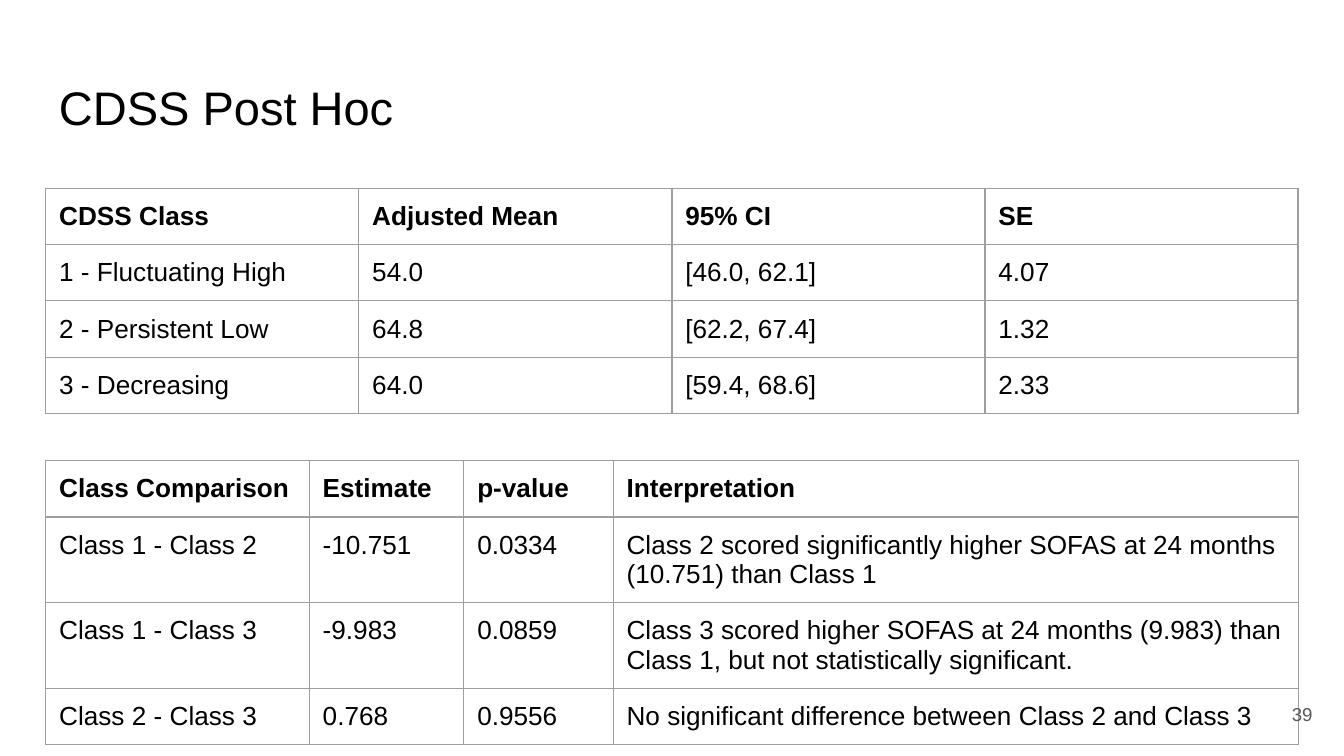
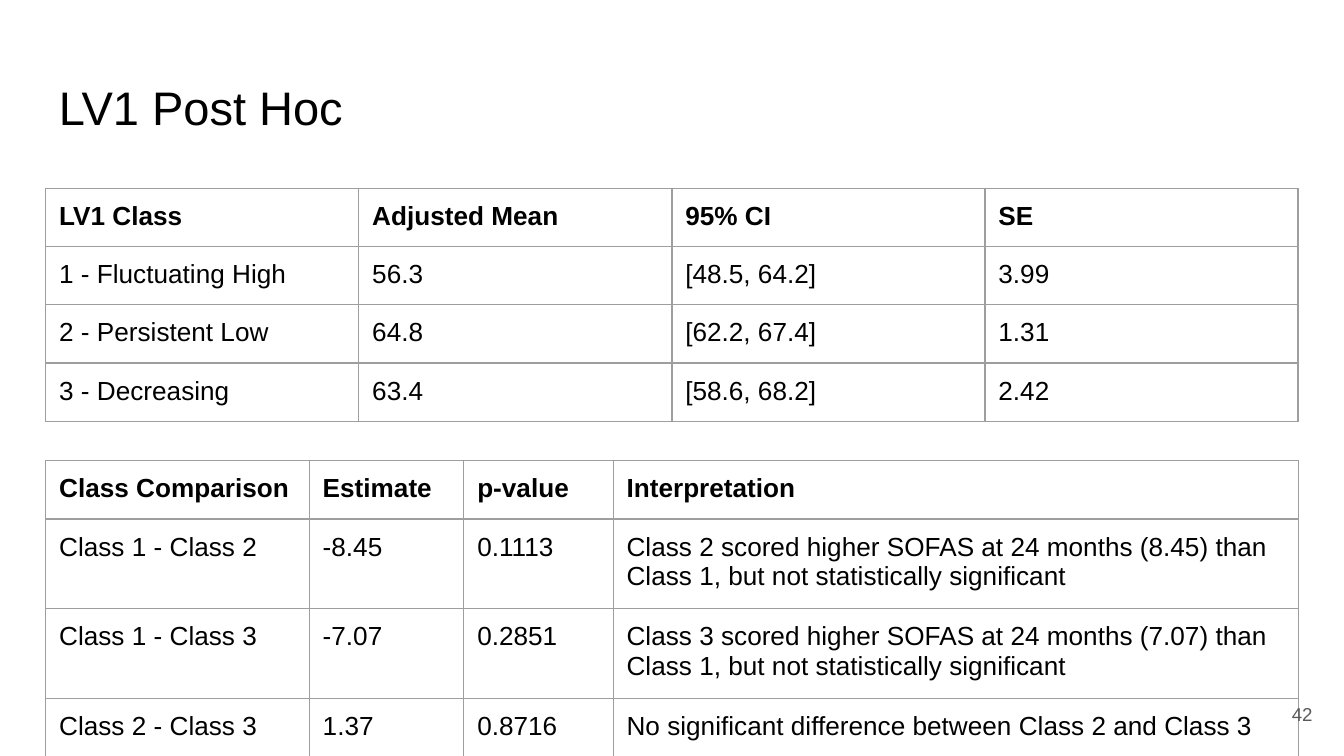
from lxml import etree
from pptx import Presentation
from pptx.dml.color import RGBColor
from pptx.enum.text import MSO_ANCHOR, PP_ALIGN
from pptx.oxml.ns import qn
from pptx.util import Pt

TOP = MSO_ANCHOR.TOP
MIDDLE = MSO_ANCHOR.MIDDLE
LEFT = PP_ALIGN.LEFT
RIGHT = PP_ALIGN.RIGHT

COLORS = {"background": "FFFFFF", "text": "000000", "number": "595959", "border": "9E9E9E"}
FONT = "Arial"
INSET = 7.2
MARGIN = 24.5
CONTENT_WIDTH = 671
ROW_HEIGHT = 30.2
BORDER_WIDTH = 0.75
MEANS_TOP = 100.8
COMPARISON_TOP = 246.8
MEANS_COLUMNS = [CONTENT_WIDTH / 4] * 4
COMPARISON_COLUMNS = [141.2, 82.8, 80, 367]

MEANS_HEADINGS = ["Adjusted Mean", "95% CI", "SE"]
CLASSES = ["1 - Fluctuating High", "2 - Persistent Low", "3 - Decreasing"]
COMPARISON_HEADINGS = ["Class Comparison", "Estimate", "p-value", "Interpretation"]
COMPARISONS = ["Class 1 - Class 2", "Class 1 - Class 3", "Class 2 - Class 3"]
NO_DIFFERENCE = "No significant difference between Class 2 and Class 3"

SLIDES = [
    {
        "measure": "CDSS",
        "number": "39",
        "means": [
            ["54.0", "[46.0, 62.1]", "4.07"],
            ["64.8", "[62.2, 67.4]", "1.32"],
            ["64.0", "[59.4, 68.6]", "2.33"],
        ],
        "comparisons": [
            ["-10.751", "0.0334",
             "Class 2 scored significantly higher SOFAS at 24 months (10.751) than Class 1"],
            ["-9.983", "0.0859",
             "Class 3 scored higher SOFAS at 24 months (9.983) than Class 1, "
             "but not statistically significant."],
            ["0.768", "0.9556", NO_DIFFERENCE],
        ],
    },
    {
        "measure": "LV1",
        "number": "42",
        "means": [
            ["56.3", "[48.5, 64.2]", "3.99"],
            ["64.8", "[62.2, 67.4]", "1.31"],
            ["63.4", "[58.6, 68.2]", "2.42"],
        ],
        "comparisons": [
            ["-8.45", "0.1113",
             "Class 2 scored higher SOFAS at 24 months (8.45) than Class 1, "
             "but not statistically significant"],
            ["-7.07", "0.2851",
             "Class 3 scored higher SOFAS at 24 months (7.07) than Class 1, "
             "but not statistically significant"],
            ["1.37", "0.8716", NO_DIFFERENCE],
        ],
    },
]


def color(name):
    return RGBColor.from_string(COLORS[name])


def set_insets(target):
    target.margin_left = target.margin_right = Pt(INSET)
    target.margin_top = target.margin_bottom = Pt(INSET)


def add_run(paragraph, text, size, color_name="text", bold=False):
    run = paragraph.add_run()
    run.text = text
    run.font.name = FONT
    run.font.size = Pt(size)
    run.font.bold = bold
    run.font.color.rgb = color(color_name)


def add_text(slide, text, box, size, color_name="text", anchor=TOP, alignment=LEFT):
    shape = slide.shapes.add_textbox(*(Pt(length) for length in box))
    frame = shape.text_frame
    frame.word_wrap = True
    frame.vertical_anchor = anchor
    set_insets(frame)
    paragraph = frame.paragraphs[0]
    paragraph.alignment = alignment
    add_run(paragraph, text, size, color_name)


def set_borders(cell):
    properties = cell._tc.get_or_add_tcPr()
    for side in ("a:lnL", "a:lnR", "a:lnT", "a:lnB"):
        line = etree.SubElement(properties, qn(side), w=str(Pt(BORDER_WIDTH)))
        fill = etree.SubElement(line, qn("a:solidFill"))
        etree.SubElement(fill, qn("a:srgbClr"), val=COLORS["border"])


def add_table(slide, top, column_widths, rows):
    shape = slide.shapes.add_table(
        len(rows), len(column_widths), Pt(MARGIN), Pt(top),
        Pt(CONTENT_WIDTH), Pt(ROW_HEIGHT * len(rows)),
    )
    table = shape.table
    table.first_row = False
    table.horz_banding = False
    for column, width in zip(table.columns, column_widths):
        column.width = Pt(width)
    for row_index, values in enumerate(rows):
        table.rows[row_index].height = Pt(ROW_HEIGHT)
        for column_index, value in enumerate(values):
            cell = table.cell(row_index, column_index)
            set_insets(cell)
            set_borders(cell)
            cell.fill.background()
            add_run(cell.text_frame.paragraphs[0], value, 14, bold=row_index == 0)


def with_labels(headings, labels, values):
    return [headings] + [[label, *row] for label, row in zip(labels, values)]


def add_post_hoc_slide(presentation, content):
    slide = presentation.slides.add_slide(presentation.slide_layouts[6])
    slide.background.fill.solid()
    slide.background.fill.fore_color.rgb = color("background")
    measure = content["measure"]
    means_headings = [f"{measure} Class", *MEANS_HEADINGS]
    add_table(slide, MEANS_TOP, MEANS_COLUMNS,
              with_labels(means_headings, CLASSES, content["means"]))
    add_table(slide, COMPARISON_TOP, COMPARISON_COLUMNS,
              with_labels(COMPARISON_HEADINGS, COMPARISONS, content["comparisons"]))
    add_text(slide, f"{measure} Post Hoc", (MARGIN, 35, CONTENT_WIDTH, 45), 25.2)
    add_text(slide, content["number"], (667, 367, 43.2, 31), 10, "number", MIDDLE, RIGHT)


def main():
    presentation = Presentation()
    presentation.slide_width = Pt(720)
    presentation.slide_height = Pt(405)
    for content in SLIDES:
        add_post_hoc_slide(presentation, content)
    presentation.save("out.pptx")


if __name__ == "__main__":
    main()
